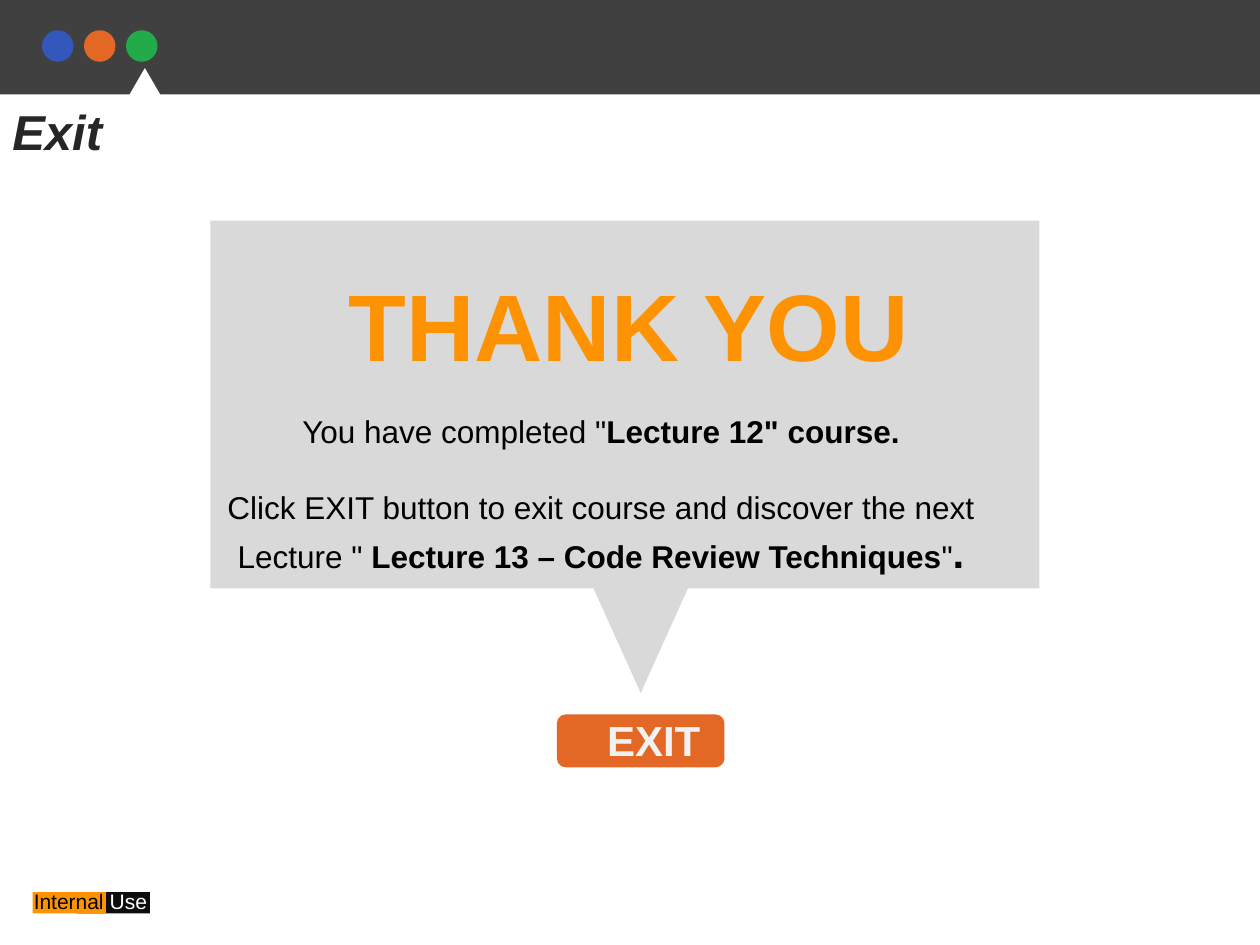
from dataclasses import dataclass

from pptx import Presentation
from pptx.dml.color import RGBColor
from pptx.enum.shapes import MSO_SHAPE as Shape
from pptx.enum.text import PP_ALIGN as Align
from pptx.util import Inches, Pt


@dataclass(frozen=True)
class Theme:
    """Colours and type sizes of the slide."""
    font: str = "Arial"
    bar: str = "404040"
    dots: tuple = ("3357BB", "E46825", "23AA4A")
    white: str = "FFFFFF"
    black: str = "000000"
    label_dark: str = "0D0D0D"
    amber: str = "FD9203"
    panel: str = "D9D9D9"
    button: str = "E46825"
    button_text: str = "F2F2F2"
    title: str = "262626"
    thanks_size: int = 54
    title_size: int = 28
    button_size: int = 24
    body_size: int = 18
    label_size: int = 12


THEME = Theme()


def add_block(slide, kind, left, top, width, height, color):
    """Add a flat, unlined preset shape."""
    block = slide.shapes.add_shape(
        kind, Inches(left), Inches(top), Inches(width), Inches(height))
    block.shadow.inherit = False
    block.fill.solid()
    block.fill.fore_color.rgb = RGBColor.from_string(color)
    block.line.fill.background()
    return block


def add_text(slide, left, top, width, height, paragraphs, size, color,
             bold=None, italic=None, align=Align.LEFT, gap=0):
    """Add paragraphs of (text, font overrides) runs, with a gap between them."""
    box = slide.shapes.add_textbox(
        Inches(left), Inches(top), Inches(width), Inches(height))
    frame = box.text_frame
    frame.word_wrap = True
    for index, runs in enumerate(paragraphs):
        paragraph = frame.add_paragraph() if index else frame.paragraphs[0]
        paragraph.alignment = align
        paragraph.space_before = Pt(gap if index else 0)
        font = paragraph.font
        font.name, font.size = THEME.font, Pt(size)
        font.bold, font.italic = bold, italic
        font.color.rgb = RGBColor.from_string(color)
        for text, overrides in runs:
            run = paragraph.add_run()
            run.text = text
            if "bold" in overrides:
                run.font.bold = overrides["bold"]
            if "size" in overrides:
                run.font.size = Pt(overrides["size"])
            if "color" in overrides:
                run.font.color.rgb = RGBColor.from_string(overrides["color"])


def add_header(slide, left, top, width, height):
    """Draw the dark bar with its three dots, and the notch under the last."""
    add_block(slide, Shape.RECTANGLE, left, top, width, height, THEME.bar)
    for index, color in enumerate(THEME.dots):
        add_block(slide, Shape.OVAL, left + (index + 1) / 3, top + 0.24,
                  0.25, 0.25, color)
    add_block(slide, Shape.ISOSCELES_TRIANGLE, left + 0.86, top + 0.54,
              0.58, 0.5, THEME.white)


def add_usage_label(slide, left, top):
    """Draw the two-tone usage label."""
    for offset, color in ((0.35, THEME.label_dark), (0, THEME.amber)):
        add_block(slide, Shape.RECTANGLE, left + offset, top, 0.58, 0.17, color)
    add_text(slide, left - 0.09, top - 0.08, 1.5, 0.3,
             [[("Internal ", {}), ("Use", {"color": THEME.white})]],
             THEME.label_size, THEME.black)


def add_thanks_panel(slide, left, top, width, height):
    """Draw the panel with its pointer, heading and closing message."""
    pointer = add_block(slide, Shape.ISOSCELES_TRIANGLE, left + 3,
                        top + height - 0.09, 0.83, 0.92, THEME.panel)
    pointer.rotation = 180
    add_block(slide, Shape.RECTANGLE, left, top, width, height, THEME.panel)
    strong = {"bold": True}
    message = [
        [('You have completed "', {}), ('Lecture 12" course.', strong)],
        [('Click EXIT button to exit course and discover the next Lecture "', {}),
         (" Lecture 13 – Code Review Techniques", strong), ('"', {}),
         (".", {"bold": True, "size": 24})],
    ]
    add_text(slide, left - 0.34, top + 1.47, 6.88, 1.82, message,
             THEME.body_size, THEME.black, align=Align.CENTER, gap=22)
    add_text(slide, left + 1, top + 0.32, 4.75, 1.01, [[("THANK YOU", {})]],
             THEME.thanks_size, THEME.amber, bold=True)


def add_exit_button(slide, left, top, width, height):
    """Draw the exit button with its caption centred in its height."""
    add_block(slide, Shape.ROUNDED_RECTANGLE, left, top, width, height,
              THEME.button)
    add_text(slide, left + 0.3, top - 0.05, width, height, [[("EXIT", {})]],
             THEME.button_size, THEME.button_text, bold=True)


def build_exit_slide(deck):
    """Add the closing slide."""
    slide = deck.slides.add_slide(deck.slide_layouts[6])
    add_header(slide, 0, 0, 10, 0.75)
    add_usage_label(slide, 0.26, 7.08)
    add_thanks_panel(slide, 1.67, 1.75, 6.58, 2.92)
    add_exit_button(slide, 4.42, 5.67, 1.33, 0.42)
    add_text(slide, 0, 0.76, 9.53, 0.57, [[("Exit", {})]],
             THEME.title_size, THEME.title, bold=True, italic=True)


deck = Presentation()
deck.slide_width, deck.slide_height = Inches(10), Inches(7.5)
build_exit_slide(deck)
deck.save("out.pptx")
